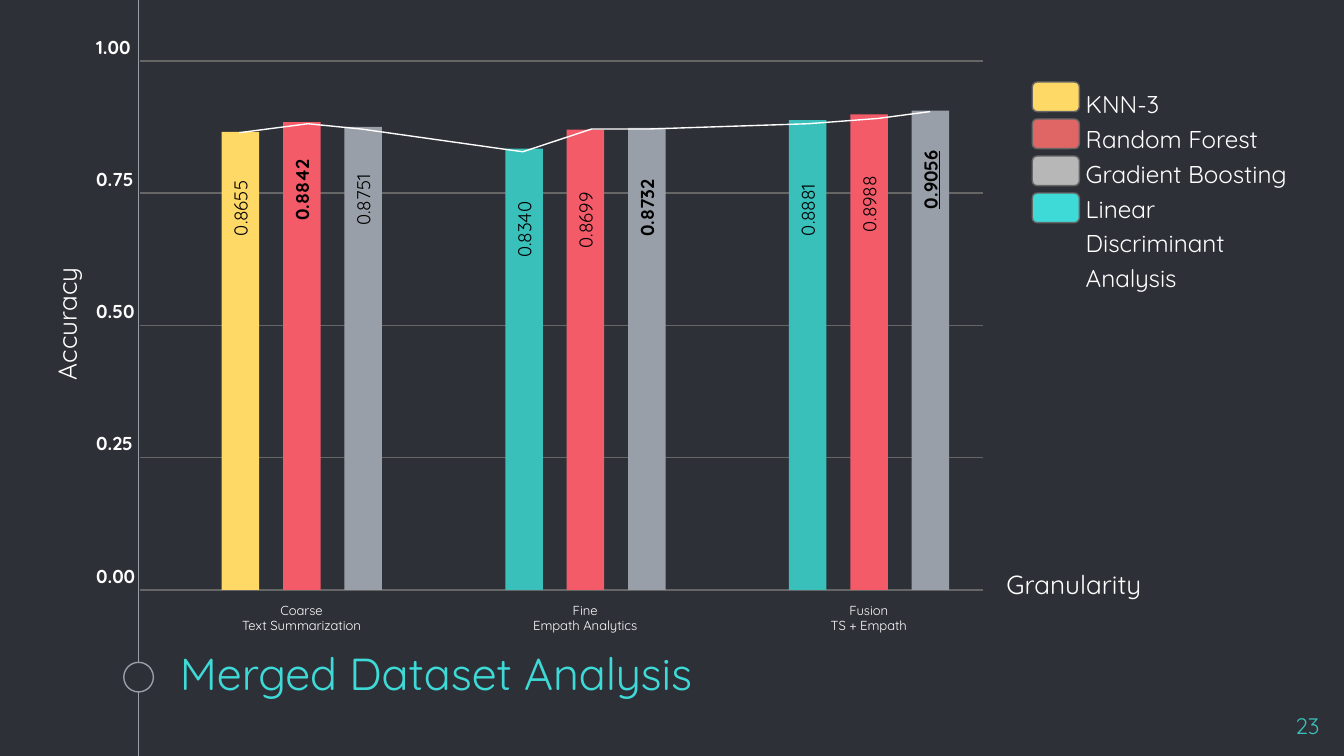
import pptx
import pptx.dml.color
import pptx.enum.shapes
import pptx.enum.text
import pptx.oxml.ns
import pptx.util
from lxml import etree

Cm, Pt = pptx.util.Cm, pptx.util.Pt
RGBColor = pptx.dml.color.RGBColor
ShapeKind = pptx.enum.shapes.MSO_SHAPE
Align = pptx.enum.text.PP_ALIGN

BACKGROUND = RGBColor(0x2E, 0x30, 0x37)
WHITE = RGBColor(0xFF, 0xFF, 0xFF)
BLACK = RGBColor(0x00, 0x00, 0x00)
GRID = RGBColor(0x66, 0x66, 0x66)
AQUA = RGBColor(0x3E, 0xDA, 0xD8)
TEAL = RGBColor(0x39, 0xC0, 0xBA)
YELLOW = RGBColor(0xFF, 0xD9, 0x66)
CORAL = RGBColor(0xF3, 0x5B, 0x69)
STEEL = RGBColor(0x99, 0x9F, 0xA9)
SOFT_RED = RGBColor(0xE0, 0x66, 0x66)
SILVER = RGBColor(0xB7, 0xB7, 0xB7)

FONT = "Quicksand"

# All lengths are in centimetres.
SLIDE_WIDTH, SLIDE_HEIGHT = 25.4, 14.29
RAIL_X = 2.62
PLOT_LEFT, PLOT_RIGHT = 2.65, 18.57
BASELINE, PLOT_HEIGHT = 11.15, 10
GROUP_LEFT, GROUP_STEP = 4.19, 5.36
BAR_WIDTH, BAR_STEP = 0.71, 1.16
LABEL_HEIGHT = 0.53

TICKS = (0, 0.25, 0.5, 0.75, 1)

# Each bar: accuracy, fill, bottom of its label, bold, underlined
GROUPS = [
    (("Coarse", "Text Summarization"), [
        (0.8655, YELLOW, 4.71, False, False),
        (0.8842, CORAL, 4.42, True, False),
        (0.8751, STEEL, 4.51, False, False)]),
    (("Fine", "Empath Analytics"), [
        (0.8340, TEAL, 5.12, False, False),
        (0.8699, CORAL, 4.94, False, False),
        (0.8732, STEEL, 4.72, True, False)]),
    (("Fusion", "TS + Empath"), [
        (0.8881, TEAL, 4.71, False, False),
        (0.8988, CORAL, 4.64, False, False),
        (0.9056, STEEL, 4.20, True, True)]),
]

TREND = [(4.52, 2.51), (5.82, 2.34), (6.83, 2.44),
         (9.88, 2.87), (11.18, 2.44), (12.24, 2.44),
         (15.27, 2.34), (16.59, 2.24), (17.58, 2.11)]

LEGEND = [("KNN-3", YELLOW), ("Random Forest", SOFT_RED),
          ("Gradient Boosting", SILVER), ("Linear Discriminant Analysis", AQUA)]


def value_y(value):
    return BASELINE - PLOT_HEIGHT * value


def fill_text(frame, lines, size, color, align=Align.LEFT, bold=False,
              underline=False, spacing=None, top=0.25, bottom=0.25):
    frame.word_wrap = True
    frame.auto_size = pptx.enum.text.MSO_AUTO_SIZE.NONE
    frame.margin_left = frame.margin_right = Cm(0.25)
    frame.margin_top, frame.margin_bottom = Cm(top), Cm(bottom)
    for index, line in enumerate(lines):
        paragraph = frame.add_paragraph() if index else frame.paragraphs[0]
        paragraph.alignment = align
        paragraph.line_spacing = spacing
        run = paragraph.add_run()
        run.text = line
        run.font.name = FONT
        run.font.size = Pt(size)
        run.font.color.rgb = color
        run.font.bold = bold
        run.font.underline = underline


def add_text(slide, box, lines, size, color, rotation=0, **style):
    textbox = slide.shapes.add_textbox(*map(Cm, box))
    textbox.rotation = rotation
    fill_text(textbox.text_frame, lines, size, color, **style)


def add_block(slide, kind, box, fill, outline=None):
    block = slide.shapes.add_shape(kind, *map(Cm, box))
    block.shadow.inherit = False
    block.fill.solid()
    block.fill.fore_color.rgb = fill
    if outline is None:
        block.line.fill.background()
    else:
        block.line.color.rgb = outline
        block.line.width = Pt(0.75)
    return block


def add_line(slide, start, end, color):
    line = slide.shapes.add_connector(
        pptx.enum.shapes.MSO_CONNECTOR.STRAIGHT, *map(Cm, start + end))
    line.line.color.rgb = color
    line.line.width = Pt(0.75)
    etree.SubElement(line._element.spPr, pptx.oxml.ns.qn("a:effectLst"))


def add_title(slide):
    title = slide.shapes.title
    title.left, title.top, title.width, title.height = map(
        Cm, (3.15, 12.04, 20.9, 1.35))
    title.text_frame.vertical_anchor = pptx.enum.text.MSO_ANCHOR.MIDDLE
    fill_text(title.text_frame, ["Merged Dataset Analysis"], 24, AQUA)


def add_rail(slide):
    """Draw the vertical line at the left with its ring beside the title."""
    add_line(slide, (RAIL_X, 0), (RAIL_X, SLIDE_HEIGHT), STEEL)
    add_block(slide, ShapeKind.OVAL, (RAIL_X - 0.28, 12.52, 0.56, 0.56),
              BACKGROUND, STEEL)


def add_axis(slide):
    for tick in TICKS:
        y = value_y(tick)
        add_line(slide, (PLOT_LEFT, y), (PLOT_RIGHT, y), GRID)
        add_text(slide, (1.57, y - LABEL_HEIGHT, 1.57, LABEL_HEIGHT),
                 [f"{tick:.2f}"], 10, WHITE, bold=True, top=0.05, bottom=0.05)
    add_text(slide, (-3.1, 5.56, 8.74, 1.12), ["Accuracy"], 14, WHITE,
             rotation=270, align=Align.CENTER)
    add_text(slide, (18.77, 10.49, 8.74, 1.12), ["Granularity"], 14, WHITE)


def add_bar(slide, left, accuracy, fill, label_bottom, bold, underline):
    add_block(slide, ShapeKind.RECTANGLE,
              (left, value_y(accuracy), BAR_WIDTH, PLOT_HEIGHT * accuracy), fill)
    length = 1.8 if bold else 1.57
    label_box = (left + (BAR_WIDTH - length) / 2,
                 label_bottom - (length + LABEL_HEIGHT) / 2,
                 length, LABEL_HEIGHT)
    add_text(slide, label_box, [f"{accuracy:.4f}"], 10, BLACK, rotation=270,
             bold=bold, underline=underline, top=0.05, bottom=0.05)


def add_groups(slide):
    for group_index, (caption, bars) in enumerate(GROUPS):
        left = GROUP_LEFT + group_index * GROUP_STEP
        for bar_index, bar in enumerate(bars):
            add_bar(slide, left + bar_index * BAR_STEP, *bar)
        add_text(slide, (left, 11.23, 3.02, 1.02), caption, 7, WHITE,
                 align=Align.CENTER, top=0.15)


def add_trend(slide):
    points = [(Cm(x), Cm(y)) for x, y in TREND]
    builder = slide.shapes.build_freeform(*points[0])
    builder.add_line_segments(points[1:], close=False)
    trend = builder.convert_to_shape()
    trend.shadow.inherit = False
    trend.fill.background()
    trend.line.color.rgb = WHITE
    trend.line.width = Pt(0.75)


def add_legend(slide):
    for index, (_, color) in enumerate(LEGEND):
        add_block(slide, ShapeKind.ROUNDED_RECTANGLE,
                  (19.51, 1.55 + 0.7 * index, 0.89, 0.56), color, GRID)
    add_text(slide, (20.27, 1.32, 4.45, 4.39), [name for name, _ in LEGEND],
             13, WHITE, spacing=1.2)


def main():
    presentation = pptx.Presentation()
    presentation.slide_width = Cm(SLIDE_WIDTH)
    presentation.slide_height = Cm(SLIDE_HEIGHT)
    slide = presentation.slides.add_slide(presentation.slide_layouts[5])
    slide.background.fill.solid()
    slide.background.fill.fore_color.rgb = BACKGROUND

    add_rail(slide)
    add_title(slide)
    add_text(slide, (23.67, 13.21, 1.52, 0.86), ["23"], 12, TEAL,
             align=Align.RIGHT)
    add_axis(slide)
    add_groups(slide)
    add_legend(slide)
    add_trend(slide)
    presentation.save("out.pptx")


if __name__ == "__main__":
    main()
